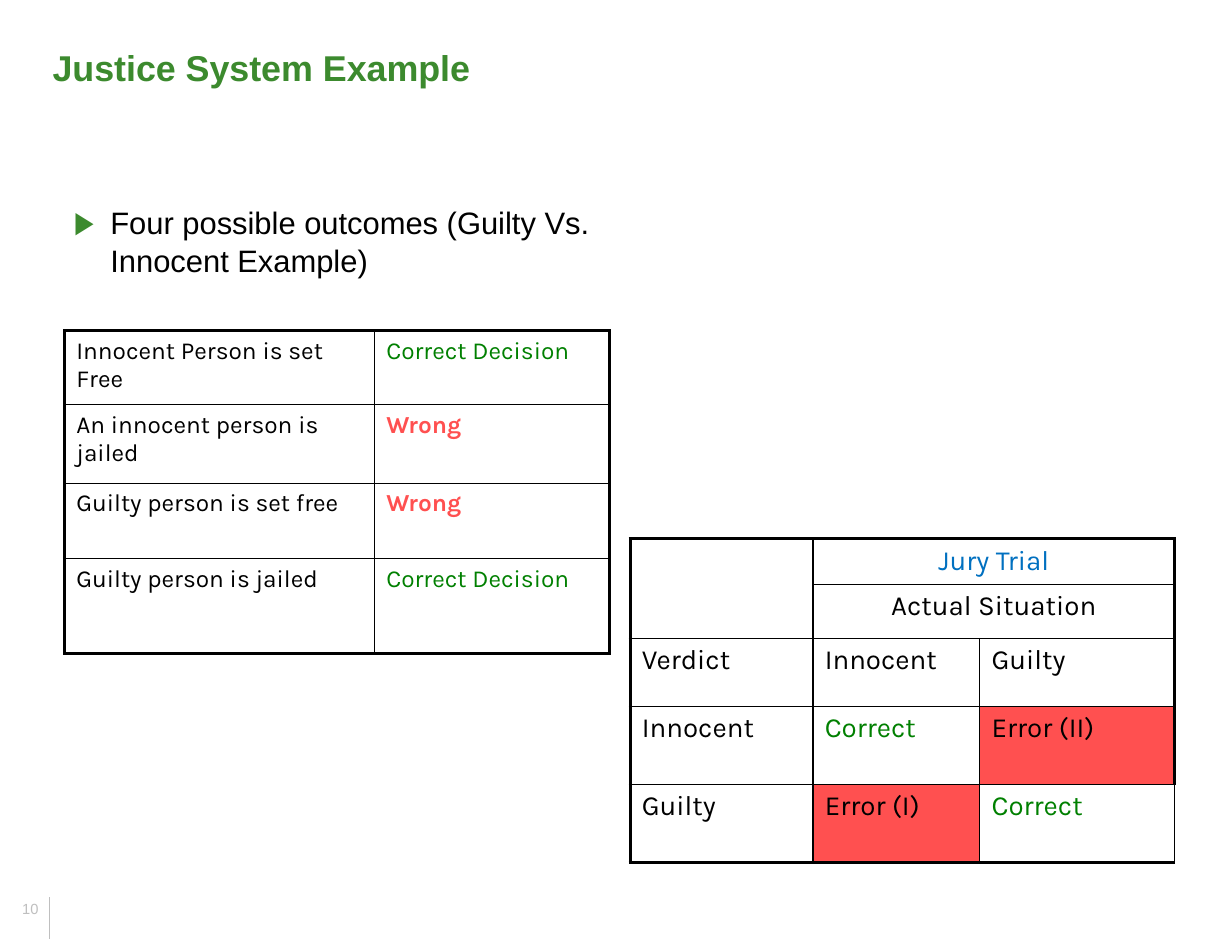
from lxml import etree
from pptx import Presentation
from pptx import util as u
from pptx.dml.color import RGBColor
from pptx.enum import shapes, text
from pptx.oxml.ns import qn

BLACK = RGBColor(0x00, 0x00, 0x00)
GREEN = RGBColor(0x3C, 0x8A, 0x2E)
CORRECT = RGBColor(0x00, 0x80, 0x00)
WRONG = RGBColor(0xFF, 0x50, 0x50)
BLUE = RGBColor(0x00, 0x70, 0xC0)
GREY = RGBColor(0xBF, 0xBF, 0xBF)
THIN, THICK = 1, 2.25


def write(tf, words, size=15, font="Arial", color=BLACK, bold=False,
          align=text.PP_ALIGN.LEFT, before=0):
    p = tf.paragraphs[0]
    p.alignment = align
    p.space_before = u.Pt(before)
    r = p.add_run()
    r.text = words
    r.font.size, r.font.name, r.font.bold = u.Pt(size), font, bold
    r.font.color.rgb = color
    return p


def add_text(s, box, words, anchor=text.MSO_ANCHOR.TOP, inset=0.25, **fmt):
    tf = s.shapes.add_textbox(*map(u.Cm, box)).text_frame
    tf.word_wrap = True
    tf.vertical_anchor = anchor
    tf.margin_left = tf.margin_right = u.Cm(inset)
    return write(tf, words, **fmt)


def add_title(s, box):
    add_text(s, box, "Justice System Example", text.MSO_ANCHOR.MIDDLE,
             size=22, color=GREEN, bold=True)


def add_bullet(s, box):
    p = add_text(s, box, "Four possible outcomes (Guilty Vs. Innocent Example)", size=19)
    pPr = p._p.get_or_add_pPr()
    indent = u.Cm(0.79)
    pPr.set("marL", str(indent))
    pPr.set("indent", str(-indent))
    clr = etree.SubElement(pPr, qn("a:buClr"))
    etree.SubElement(clr, qn("a:srgbClr"), val=str(GREEN))
    etree.SubElement(pPr, qn("a:buFont"), typeface="Arial")
    etree.SubElement(pPr, qn("a:buChar"), char="▶")


def add_page_number(s, box):
    x, y, w, h = box
    add_text(s, box, "10", text.MSO_ANCHOR.BOTTOM, inset=0.28, size=9, color=GREY)
    # Rule beside the number, down to the slide's foot
    rule_x, rule_top = u.Cm(x + 0.87), u.Cm(y + 0.84)
    ln = s.shapes.add_connector(shapes.MSO_CONNECTOR.STRAIGHT,
                                rule_x, u.Cm(20.32), rule_x, rule_top)
    ln.line.color.rgb = GREY
    ln.line.width = u.Pt(0.5)
    etree.SubElement(ln._element.spPr, qn("a:effectLst"))


def set_borders(cell, widths):
    """widths maps L, R, T, B to points."""
    tcPr = cell._tc.get_or_add_tcPr()
    for i, side in enumerate(k for k in "LRTB" if k in widths):
        ln = etree.Element(qn("a:ln" + side), w=str(u.Pt(widths[side])))
        fill = etree.SubElement(ln, qn("a:solidFill"))
        etree.SubElement(fill, qn("a:srgbClr"), val=str(BLACK))
        tcPr.insert(i, ln)


def add_grid(s, left, top, cols, rows, cells, size, merges=()):
    """cells maps (row, column) to the words and their format."""
    n, m = len(rows), len(cols)
    tbl = s.shapes.add_table(n, m, *map(u.Cm, (left, top, sum(cols), sum(rows)))).table
    tbl.first_row = tbl.horz_banding = False
    for col, w in zip(tbl.columns, cols):
        col.width = u.Cm(w)
    for row, h in zip(tbl.rows, rows):
        row.height = u.Cm(h)
    for first, last in merges:
        tbl.cell(*first).merge(tbl.cell(*last))
    for i in range(n):
        for j in range(m):
            cell = tbl.cell(i, j)
            words, fmt = cells.get((i, j), ("", {}))
            fmt = dict(fmt)
            fill = fmt.pop("fill", None)
            if fill is None:
                cell.fill.background()
            else:
                cell.fill.solid()
                cell.fill.fore_color.rgb = fill
            if words:
                write(cell.text_frame, words, size=size, font="Karla",
                      before=size * 0.2, **fmt)
            # Thick frame, thin inner lines; none inside a merged cell
            down = cell.span_height if cell.is_merge_origin else 1
            across = cell.span_width if cell.is_merge_origin else 1
            outer = {"L": j == 0, "R": j + across == m,
                     "T": i == 0, "B": i + down == n}
            set_borders(cell, {k: THICK if edge else THIN for k, edge in outer.items()
                               if edge or not cell.is_spanned})
    return tbl


def add_outcomes(s, left, top):
    right = ("Correct Decision", {"color": CORRECT})
    wrong = ("Wrong", {"color": WRONG, "bold": True})
    outcomes = [("Innocent Person is set Free", right),
                ("An innocent person is jailed", wrong),
                ("Guilty person is set free", wrong),
                ("Guilty person is jailed", right)]
    cells = {}
    for i, (words, decision) in enumerate(outcomes):
        cells[i, 0], cells[i, 1] = (words, {}), decision
    add_grid(s, left, top, [6.71, 5.08], [1.6, 1.7, 1.63, 2.06], cells, 15)


def add_verdicts(s, left, top):
    mid = text.PP_ALIGN.CENTER
    correct, error = {"color": CORRECT}, {"fill": WRONG}
    cells = {(0, 1): ("Jury Trial", {"color": BLUE, "align": mid}),
             (1, 1): ("Actual Situation", {"align": mid})}
    body = [[("Verdict", {}), ("Innocent", {}), ("Guilty", {})],
            [("Innocent", {}), ("Correct", correct), ("Error (II)", error)],
            [("Guilty", {}), ("Error (I)", error), ("Correct", correct)]]
    for i, row in enumerate(body, 2):
        for j, entry in enumerate(row):
            cells[i, j] = entry
    tbl = add_grid(s, left, top, [3.96, 3.61, 4.22], [0.99, 1.17, 1.47, 1.68, 1.7],
                   cells, 17, [((0, 0), (1, 0)), ((0, 1), (0, 2)), ((1, 1), (1, 2))])
    # The last cell has a thin right edge
    tbl.cell(4, 2)._tc.tcPr.find(qn("a:lnR")).set("w", str(u.Pt(THIN)))


def main():
    prs = Presentation()
    prs.slide_width, prs.slide_height = u.Cm(26.67), u.Cm(20.32)
    s = prs.slides.add_slide(prs.slide_layouts[6])
    add_page_number(s, (0.2, 18.57, 0.94, 1.42))
    add_bullet(s, (1.35, 4.29, 11.79, 1.9))
    add_outcomes(s, 1.4, 7.16)
    add_verdicts(s, 13.64, 11.66)
    add_title(s, (0.89, 0, 24.89, 2.92))
    prs.save("out.pptx")


if __name__ == "__main__":
    main()
